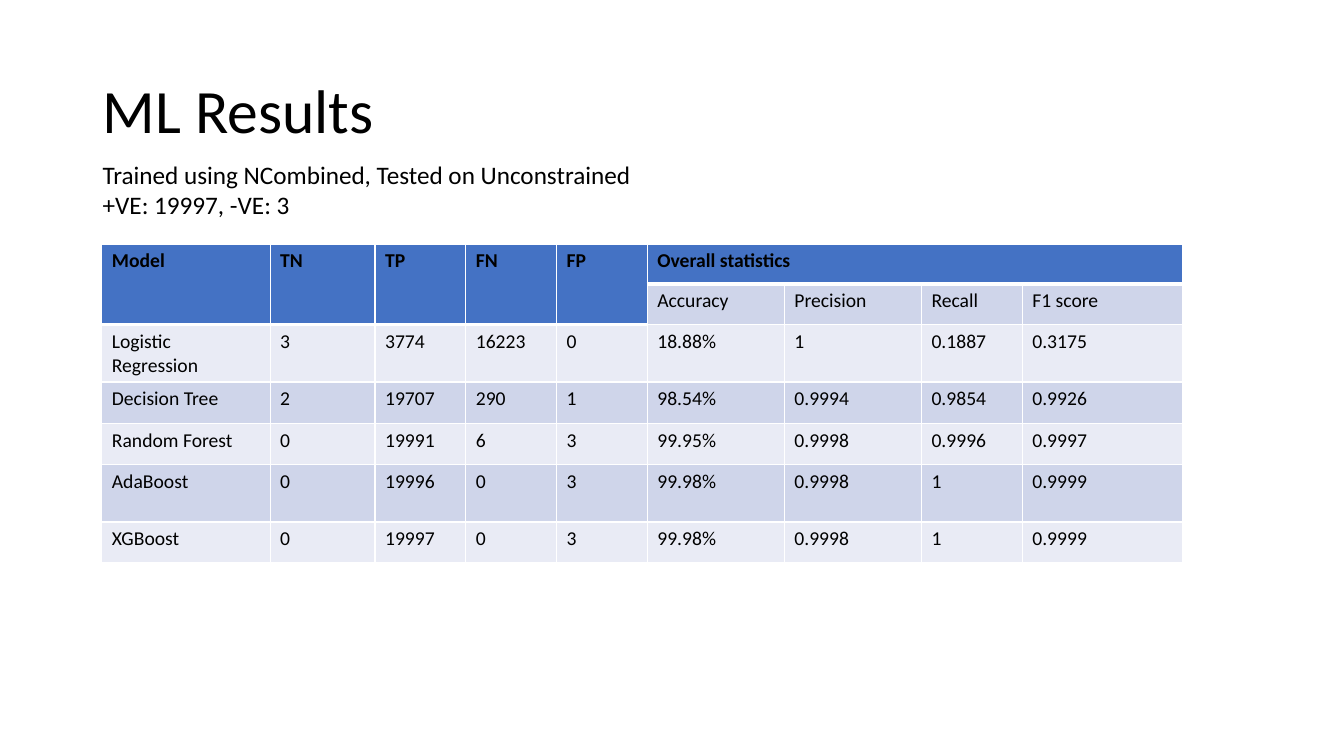
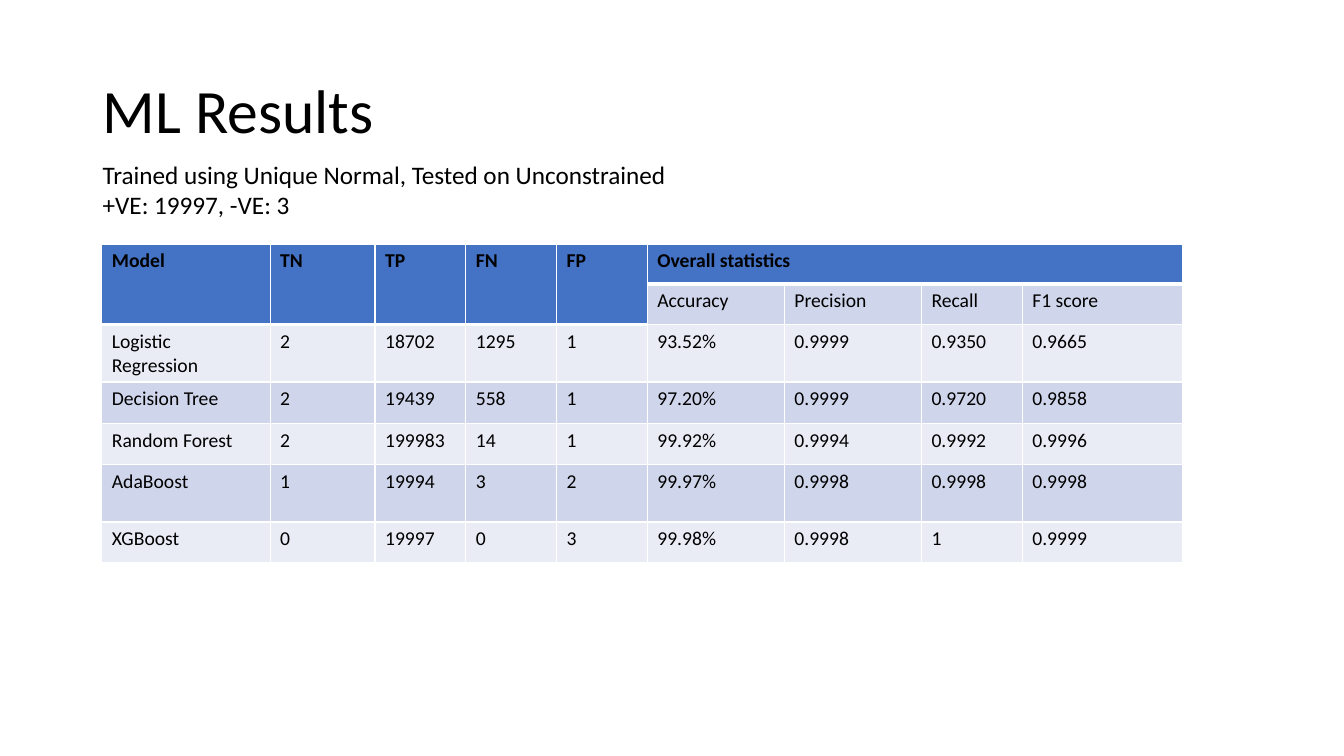
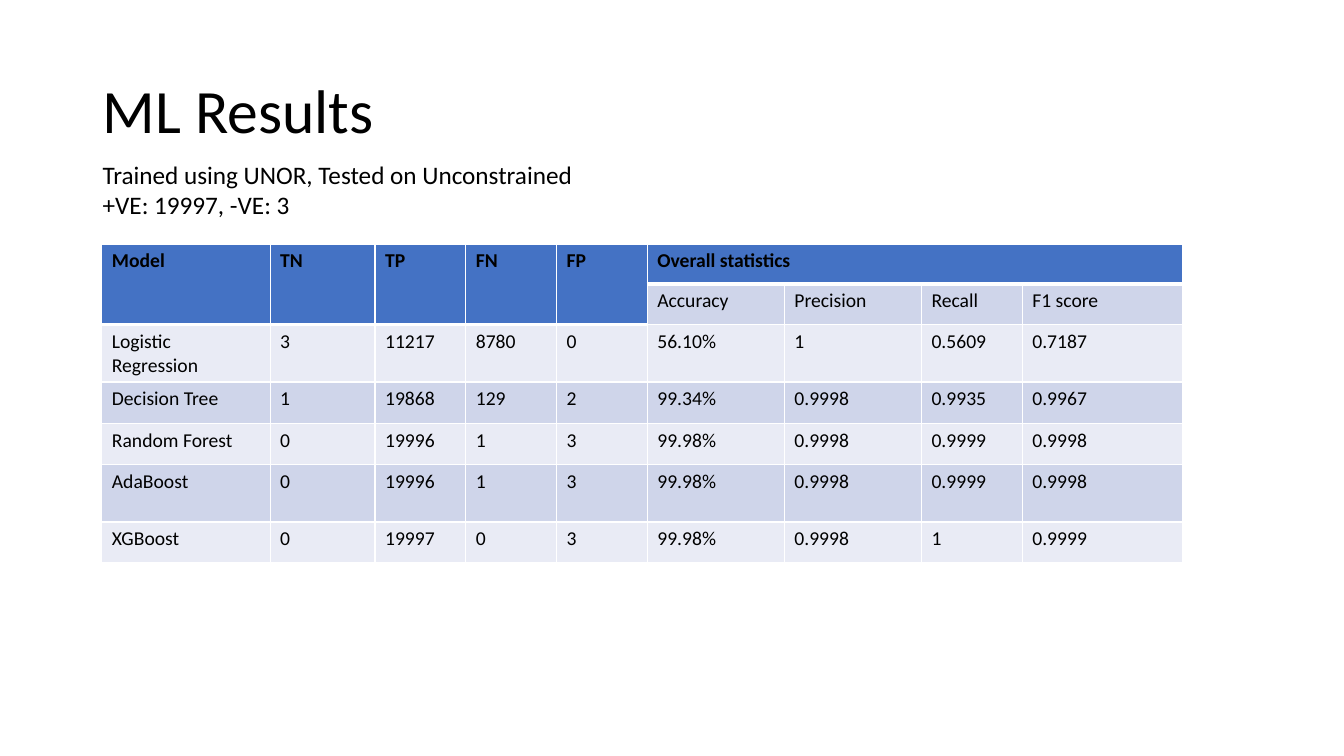
from lxml import etree
from pptx import Presentation
from pptx.dml.color import RGBColor
from pptx.enum.text import MSO_ANCHOR, MSO_AUTO_SIZE, PP_ALIGN
from pptx.oxml.ns import qn
from pptx.util import Inches, Pt

LEFT = PP_ALIGN.LEFT
MIDDLE = MSO_ANCHOR.MIDDLE
GROW = MSO_AUTO_SIZE.SHAPE_TO_FIT_TEXT
TITLE_ONLY = 5

COLORS = {
    "text": "000000",
    "header": "4472C4",
    "dark_band": "CFD5EA",
    "light_band": "E9EBF5",
    "border": "FFFFFF",
}
FONT = {"name": "Calibri", "bold": False}
TITLE_FONT = {**FONT, "size": Pt(44)}
SUBTITLE_FONT = {**FONT, "size": Pt(18)}
CELL_FONT = {**FONT, "size": Pt(14)}
HEADER_FONT = {**CELL_FONT, "bold": True}

TITLE_BOX = (0.92, 0.4, 11.5, 1.45)
SUBTITLE_BOX = (0.92, 1.53, 6.54, 1.01)
TABLE_BOX = (1.01, 2.42, 10.72, 3.16)

COLUMN_WIDTHS = [1.67, 1.04, 0.9, 0.9, 0.9, 1.36, 1.36, 1, 1.59]
ROW_HEIGHTS = [0.4, 0.4, 0.57, 0.41, 0.41, 0.57, 0.4]
COUNTS = ["Model", "TN", "TP", "FN", "FP"]
STATISTICS = ["Accuracy", "Precision", "Recall", "F1 score"]
MODELS = ["Logistic Regression", "Decision Tree", "Random Forest", "AdaBoost", "XGBoost"]
CLASS_SIZES = "+VE: 19997, -VE: 3"

RESULTS = {
    "Trained using NCombined, Tested on Unconstrained": [
        ["3", "3774", "16223", "0", "18.88%", "1", "0.1887", "0.3175"],
        ["2", "19707", "290", "1", "98.54%", "0.9994", "0.9854", "0.9926"],
        ["0", "19991", "6", "3", "99.95%", "0.9998", "0.9996", "0.9997"],
        ["0", "19996", "0", "3", "99.98%", "0.9998", "1", "0.9999"],
        ["0", "19997", "0", "3", "99.98%", "0.9998", "1", "0.9999"],
    ],
    "Trained using Unique Normal, Tested on Unconstrained": [
        ["2", "18702", "1295", "1", "93.52%", "0.9999", "0.9350", "0.9665"],
        ["2", "19439", "558", "1", "97.20%", "0.9999", "0.9720", "0.9858"],
        ["2", "199983", "14", "1", "99.92%", "0.9994", "0.9992", "0.9996"],
        ["1", "19994", "3", "2", "99.97%", "0.9998", "0.9998", "0.9998"],
        ["0", "19997", "0", "3", "99.98%", "0.9998", "1", "0.9999"],
    ],
    "Trained using UNOR, Tested on Unconstrained": [
        ["3", "11217", "8780", "0", "56.10%", "1", "0.5609", "0.7187"],
        ["1", "19868", "129", "2", "99.34%", "0.9998", "0.9935", "0.9967"],
        ["0", "19996", "1", "3", "99.98%", "0.9998", "0.9999", "0.9998"],
        ["0", "19996", "1", "3", "99.98%", "0.9998", "0.9999", "0.9998"],
        ["0", "19997", "0", "3", "99.98%", "0.9998", "1", "0.9999"],
    ],
}


def color(name):
    return RGBColor.from_string(COLORS[name])


def write(para, text, font):
    span = para.add_run()
    span.text = text
    for key, value in font.items():
        setattr(span.font, key, value)
    span.font.color.rgb = color("text")


def add_title(page, text, box):
    title = page.shapes.title
    for key, value in zip(("left", "top", "width", "height"), box):
        setattr(title, key, Inches(value))
    title.text_frame.vertical_anchor = MIDDLE
    para = title.text_frame.paragraphs[0]
    para.alignment = LEFT
    para.line_spacing = 0.9
    write(para, text, TITLE_FONT)


def add_subtitle(page, lines, box):
    frame = page.shapes.add_textbox(*map(Inches, box)).text_frame
    frame.word_wrap = True
    frame.auto_size = GROW
    for index, line in enumerate(lines):
        para = frame.add_paragraph() if index else frame.paragraphs[0]
        write(para, line, SUBTITLE_FONT)


def set_borders(cell, widths):
    """Draw the left, right, top and bottom borders, in that order."""
    properties = cell._tc.get_or_add_tcPr()
    for index, (side, width) in enumerate(zip("LRTB", widths)):
        line = etree.Element(qn(f"a:ln{side}"), w=str(Pt(width)))
        fill = etree.SubElement(line, qn("a:solidFill"))
        etree.SubElement(fill, qn("a:srgbClr"), val=COLORS["border"])
        properties.insert(index, line)


def is_header(row, column):
    return row == 0 or (row == 1 and column < len(COUNTS))


def add_results_table(page, scores, box):
    rows = [
        COUNTS + ["Overall statistics", "", "", ""],
        [""] * len(COUNTS) + STATISTICS,
        *([model, *values] for model, values in zip(MODELS, scores)),
    ]
    frame = page.shapes.add_table(len(rows), len(COLUMN_WIDTHS), *map(Inches, box))
    table = frame.table
    for column, width in zip(table.columns, COLUMN_WIDTHS):
        column.width = Inches(width)
    for row, height in zip(table.rows, ROW_HEIGHTS):
        row.height = Inches(height)

    for r, texts in enumerate(rows):
        band = "dark_band" if r % 2 else "light_band"
        for c, text in enumerate(texts):
            cell = table.cell(r, c)
            header = is_header(r, c)
            cell.fill.solid()
            cell.fill.fore_color.rgb = color("header" if header else band)
            below_header = r > 0 and not header and is_header(r - 1, c)
            set_borders(cell, (1, 1, 3 if below_header else 1, 3 if header else 1))
            if text:
                write(cell.text_frame.paragraphs[0], text,
                      HEADER_FONT if header else CELL_FONT)

    for c in range(len(COUNTS)):
        table.cell(0, c).merge(table.cell(1, c))
    table.cell(0, len(COUNTS)).merge(table.cell(0, len(COLUMN_WIDTHS) - 1))


def add_results_page(deck, setup, scores):
    page = deck.slides.add_slide(deck.slide_layouts[TITLE_ONLY])
    add_title(page, "ML Results", TITLE_BOX)
    add_subtitle(page, [setup, CLASS_SIZES], SUBTITLE_BOX)
    add_results_table(page, scores, TABLE_BOX)


def main():
    deck = Presentation()
    deck.slide_width = Inches(13.33)
    deck.slide_height = Inches(7.5)
    for setup, scores in RESULTS.items():
        add_results_page(deck, setup, scores)
    deck.save("out.pptx")


if __name__ == "__main__":
    main()
